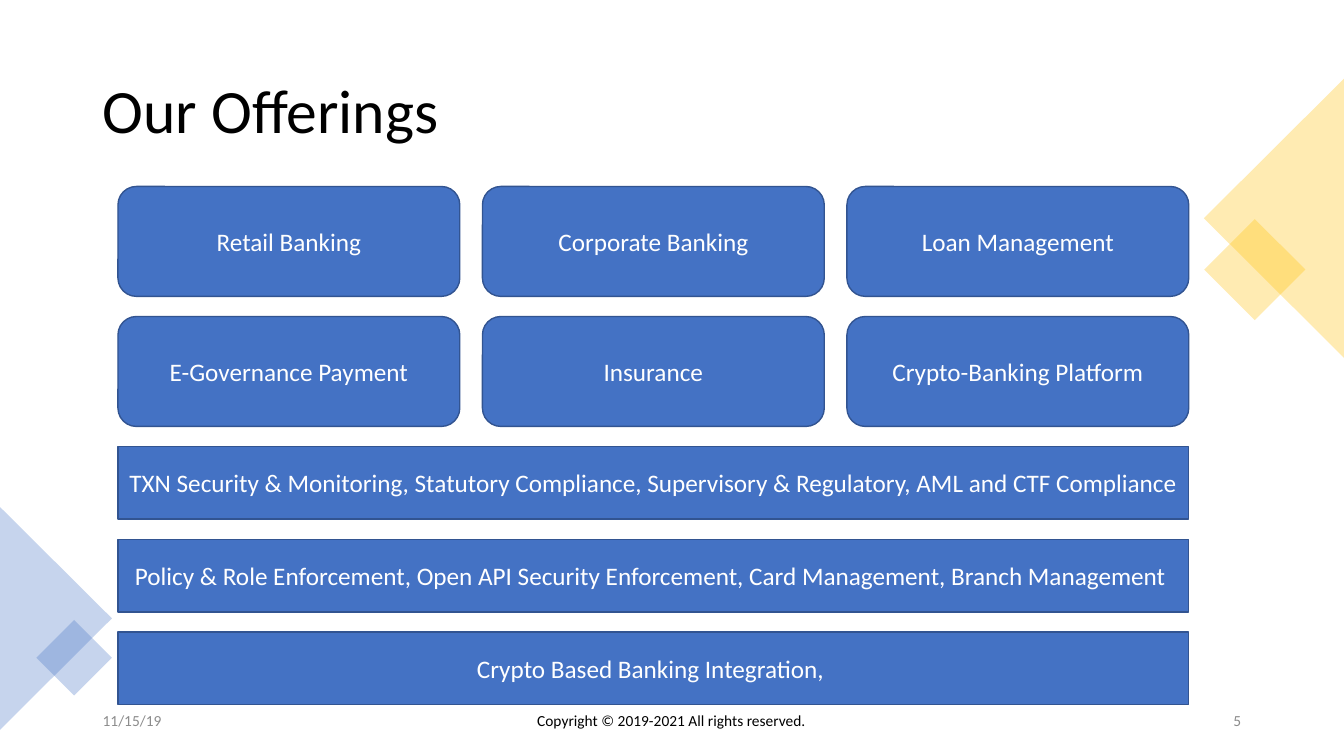
from lxml import etree
from pptx import Presentation
from pptx.dml.color import RGBColor
from pptx.enum.shapes import MSO_SHAPE
from pptx.enum.text import MSO_ANCHOR, MSO_AUTO_SIZE, PP_ALIGN
from pptx.oxml.ns import qn
from pptx.util import Inches, Pt

RECTANGLE, ROUNDED = MSO_SHAPE.RECTANGLE, MSO_SHAPE.ROUNDED_RECTANGLE
TRIANGLE = MSO_SHAPE.ISOSCELES_TRIANGLE
LEFT, CENTER, RIGHT = PP_ALIGN.LEFT, PP_ALIGN.CENTER, PP_ALIGN.RIGHT
COLORS = {"blue": "4472C4", "edge": "325491", "gold": "FFC000",
          "white": "FFFFFF", "black": "000000", "gray": "8C8C8C"}


def write_text(box, text, size=18, color="white", align=CENTER, spacing=1.0):
    frame = box.text_frame
    frame.word_wrap = True
    frame.auto_size = MSO_AUTO_SIZE.NONE
    frame.vertical_anchor = MSO_ANCHOR.MIDDLE
    para = frame.paragraphs[0]
    para.alignment = align
    para.line_spacing = spacing
    span = para.add_run()
    span.text = text
    span.font.name = "Calibri"
    span.font.size = Pt(size)
    span.font.color.rgb = RGBColor.from_string(COLORS[color])


def add_filled(page, kind, area, color):
    shape = page.shapes.add_shape(kind, *map(Inches, area))
    shape.shadow.inherit = False
    shape.fill.solid()
    shape.fill.fore_color.rgb = RGBColor.from_string(COLORS[color])
    return shape


deck = Presentation()
deck.slide_width, deck.slide_height = Inches(13.33), Inches(7.5)
page = deck.slides.add_slide(deck.slide_layouts[5])

decorations = [
    (RECTANGLE, (12.09, 2.32, 0.71, 0.71), 45, "gold"),
    (TRIANGLE, (11.25, 1.47, 2.77, 1.39), 270, "gold"),
    (TRIANGLE, (-0.55, 5.58, 2.21, 1.11), 90, "blue"),
    (RECTANGLE, (0.47, 6.26, 0.53, 0.53), 45, "blue"),
]
for kind, area, angle, color in decorations:
    ornament = add_filled(page, kind, area, color)
    ornament.rotation = angle
    ornament.line.fill.background()
    tint = ornament.fill._xPr.find(qn("a:solidFill"))[0]
    etree.SubElement(tint, qn("a:alpha"), val="30000")

title = page.shapes.title
title.left, title.top = Inches(0.92), Inches(0.4)
title.width, title.height = Inches(11.5), Inches(1.45)
write_text(title, "Our Offerings", size=44, color="black", align=LEFT, spacing=0.9)

grid_left, grid_top, grid_width, gap = 1.17, 1.85, 10.62, 0.2
card_width, card_height, bar_height = 3.39, 1.09, 0.72
column_step = (grid_width - card_width) / 2
row_step = card_height + gap
card_rows = [
    ["Retail Banking", "Corporate Banking", "Loan Management"],
    ["E-Governance Payment", "Insurance", "Crypto-Banking Platform"],
]
bars = [
    "TXN Security & Monitoring, Statutory Compliance, Supervisory & Regulatory, AML and CTF Compliance",
    "Policy & Role Enforcement, Open API Security Enforcement, Card Management, Branch Management ",
    "Crypto Based Banking Integration, ",
]
blocks = [
    (ROUNDED, (grid_left + column * column_step, grid_top + row * row_step,
               card_width, card_height), name)
    for row, names in enumerate(card_rows) for column, name in enumerate(names)
]
bars_top = grid_top + len(card_rows) * row_step
blocks += [
    (RECTANGLE, (grid_left, bars_top + row * (bar_height + gap),
                 grid_width, bar_height), name)
    for row, name in enumerate(bars)
]
for kind, area, name in blocks:
    block = add_filled(page, kind, area, "blue")
    block.line.color.rgb = RGBColor.from_string(COLORS["edge"])
    block.line.width = Pt(1)
    write_text(block, name)

footers = [
    (0.92, 1.57, "11/15/19", "gray", LEFT),
    (2.97, 7.38, "Copyright © 2019-2021 All rights reserved.", "black", CENTER),
    (10.84, 1.57, "5", "gray", RIGHT),
]
for left, width, text, color, align in footers:
    footer = page.shapes.add_textbox(Inches(left), Inches(6.95), Inches(width), Inches(0.4))
    write_text(footer, text, size=11, color=color, align=align)

deck.save("out.pptx")
